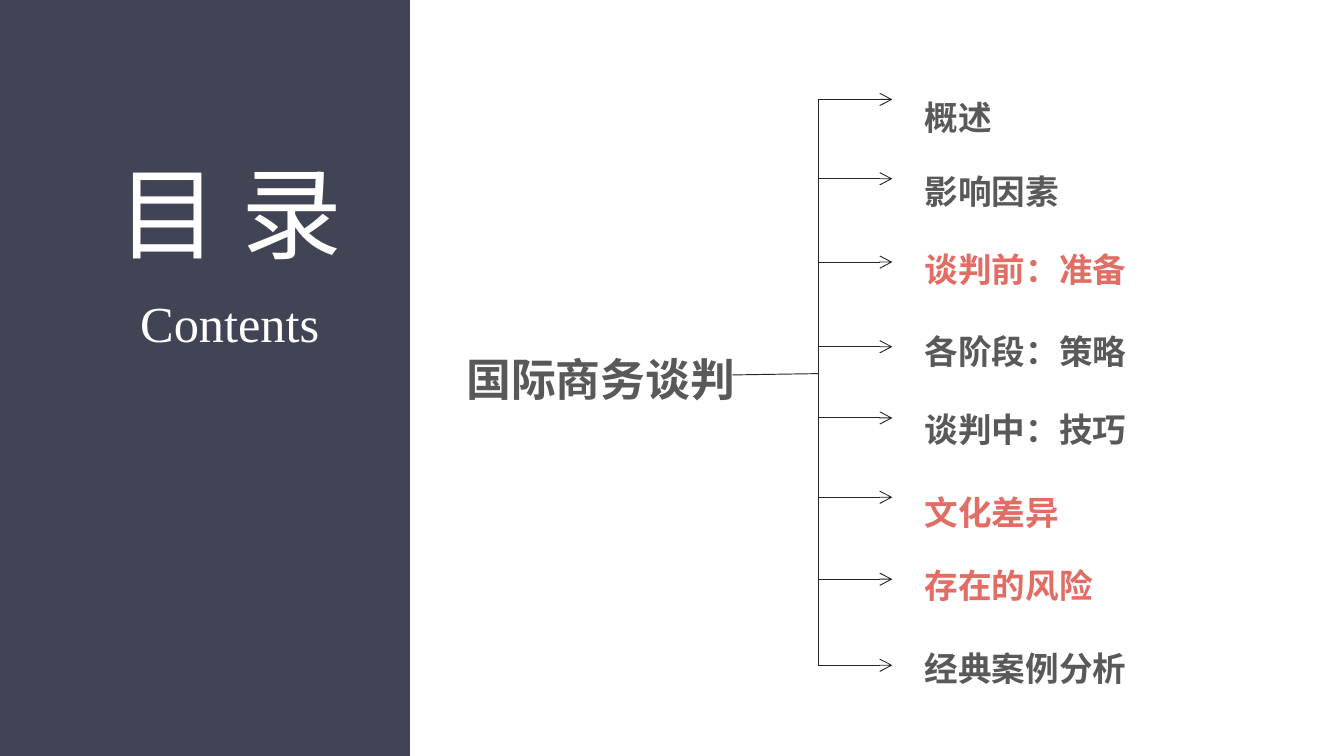
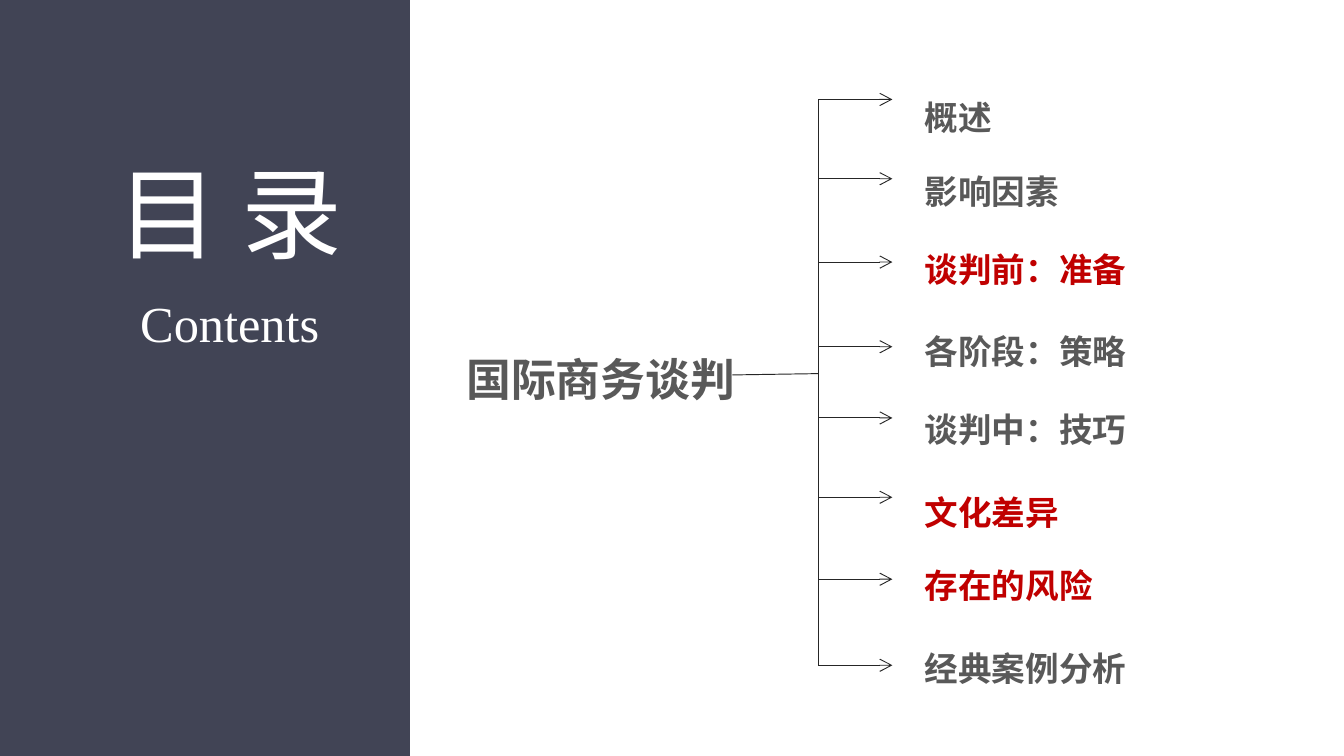
"""Build two contents slides that differ only in the highlight colour."""
from lxml.etree import SubElement
from pptx import Presentation
from pptx.dml.color import RGBColor
from pptx.enum.shapes import MSO_CONNECTOR, MSO_SHAPE
from pptx.enum.text import MSO_ANCHOR as Anchor, MSO_AUTO_SIZE, PP_ALIGN as Align
from pptx.oxml.ns import qn
from pptx.util import Inches, Pt

NAVY = RGBColor(0x41, 0x44, 0x55)
WHITE = RGBColor(0xFF, 0xFF, 0xFF)
GRAY = RGBColor(0x59, 0x59, 0x59)
INK = RGBColor(0x26, 0x26, 0x26)
CORAL = RGBColor(0xE1, 0x6D, 0x65)
CRIMSON = RGBColor(0xC0, 0x00, 0x00)

CJK_FONT = "Noto Sans CJK SC"
SLIDE_WIDTH = 10
SLIDE_HEIGHT = SLIDE_WIDTH * 9 / 16
PANEL_WIDTH = 3.05
TOPIC = "国际商务谈判"
TOPIC_RIGHT, TOPIC_Y = 5.45, 2.79
TRUNK_X, ARROW_X, ITEM_X = 6.09, 6.64, 6.81
ITEM_HEIGHT = 0.53

# text, arrow height, text top, text width, anchor, highlighted
ITEMS = [
    ("概述", 0.74, 0.53, 1.64, Anchor.MIDDLE, False),
    ("影响因素", 1.33, 1.08, 2.36, Anchor.MIDDLE, False),
    ("谈判前：准备", 1.95, 1.66, 2.36, Anchor.MIDDLE, True),
    ("各阶段：策略", 2.58, 2.27, 2.84, Anchor.MIDDLE, False),
    ("谈判中：技巧", 3.11, 2.85, 2.36, Anchor.MIDDLE, False),
    ("文化差异", 3.7, 3.47, 1.26, Anchor.TOP, True),
    ("存在的风险", 4.31, 4.01, 2.36, Anchor.MIDDLE, True),
    ("经典案例分析", 4.95, 4.63, 2.75, Anchor.TOP, False),
]
HIGHLIGHTS = [CORAL, CRIMSON]


def add_rectangle(page, left, top, width, height, color):
    box = page.shapes.add_shape(MSO_SHAPE.RECTANGLE, *map(Inches, (left, top, width, height)))
    box.shadow.inherit = False
    box.fill.solid()
    box.fill.fore_color.rgb = color
    box.line.fill.background()
    return box


def add_text(page, text, left, top, width, height, *, size, font, color, bold=False,
             align=Align.CENTER, anchor=Anchor.TOP, spacing=None, wrap=False,
             margins=(0.07, 0.04), fill=None):
    area = (left, top, width, height)
    if fill is None:
        box = page.shapes.add_textbox(*map(Inches, area))
    else:
        box = add_rectangle(page, *area, fill)
    frame = box.text_frame
    frame.word_wrap = wrap
    frame.auto_size = MSO_AUTO_SIZE.SHAPE_TO_FIT_TEXT
    frame.vertical_anchor = anchor
    frame.margin_left = frame.margin_right = Inches(margins[0])
    frame.margin_top = frame.margin_bottom = Inches(margins[1])
    para = frame.paragraphs[0]
    para.alignment = align
    para.line_spacing = spacing
    span = para.add_run()
    span.text = text
    span.font.size = Pt(size)
    span.font.bold = bold
    span.font.color.rgb = color
    span.font.name = font
    east_asian = CJK_FONT if font == "Cabin" else font
    SubElement(span.font._element, qn("a:ea"), typeface=east_asian)


def add_line(page, x1, y1, x2, y2, arrow=False):
    line = page.shapes.add_connector(MSO_CONNECTOR.STRAIGHT, *map(Inches, (x1, y1, x2, y2)))
    line.line.color.rgb = INK
    line.line.width = Pt(0.5)
    if arrow:
        SubElement(line.line._get_or_add_ln(), qn("a:tailEnd"), type="arrow")
    SubElement(line._element.spPr, qn("a:effectLst"))


def add_contents_page(deck, highlight):
    page = deck.slides.add_slide(deck.slide_layouts[6])
    add_rectangle(page, 0, 0, PANEL_WIDTH, SLIDE_HEIGHT, NAVY)
    add_text(page, "目 录", 0.69, 1.08, 2.04, 0.98, size=54, font=CJK_FONT, color=WHITE)
    add_text(page, "Contents", 0.96, 2.13, 1.5, 0.53, size=27, font="Times New Roman",
             color=WHITE)
    add_text(page, TOPIC, 3.36, 2.57, 2.22, 0.5, size=24, font=CJK_FONT, color=GRAY,
             bold=True, margins=(0.1, 0.05), fill=WHITE)
    add_line(page, TOPIC_RIGHT, TOPIC_Y, TRUNK_X, TOPIC_Y - 0.01)
    add_line(page, TRUNK_X, ITEMS[0][1], TRUNK_X, ITEMS[-1][1])
    for text, arrow_y, top, width, anchor, highlighted in ITEMS:
        add_line(page, TRUNK_X, arrow_y, ARROW_X, arrow_y, arrow=True)
        add_text(page, text, ITEM_X, top, width, ITEM_HEIGHT, size=18, font="Cabin",
                 color=highlight if highlighted else GRAY, bold=True, align=Align.LEFT,
                 anchor=anchor, spacing=1.5, wrap=True)


def main():
    deck = Presentation()
    deck.slide_width, deck.slide_height = Inches(SLIDE_WIDTH), Inches(SLIDE_HEIGHT)
    for highlight in HIGHLIGHTS:
        add_contents_page(deck, highlight)
    deck.save("out.pptx")


if __name__ == "__main__":
    main()
